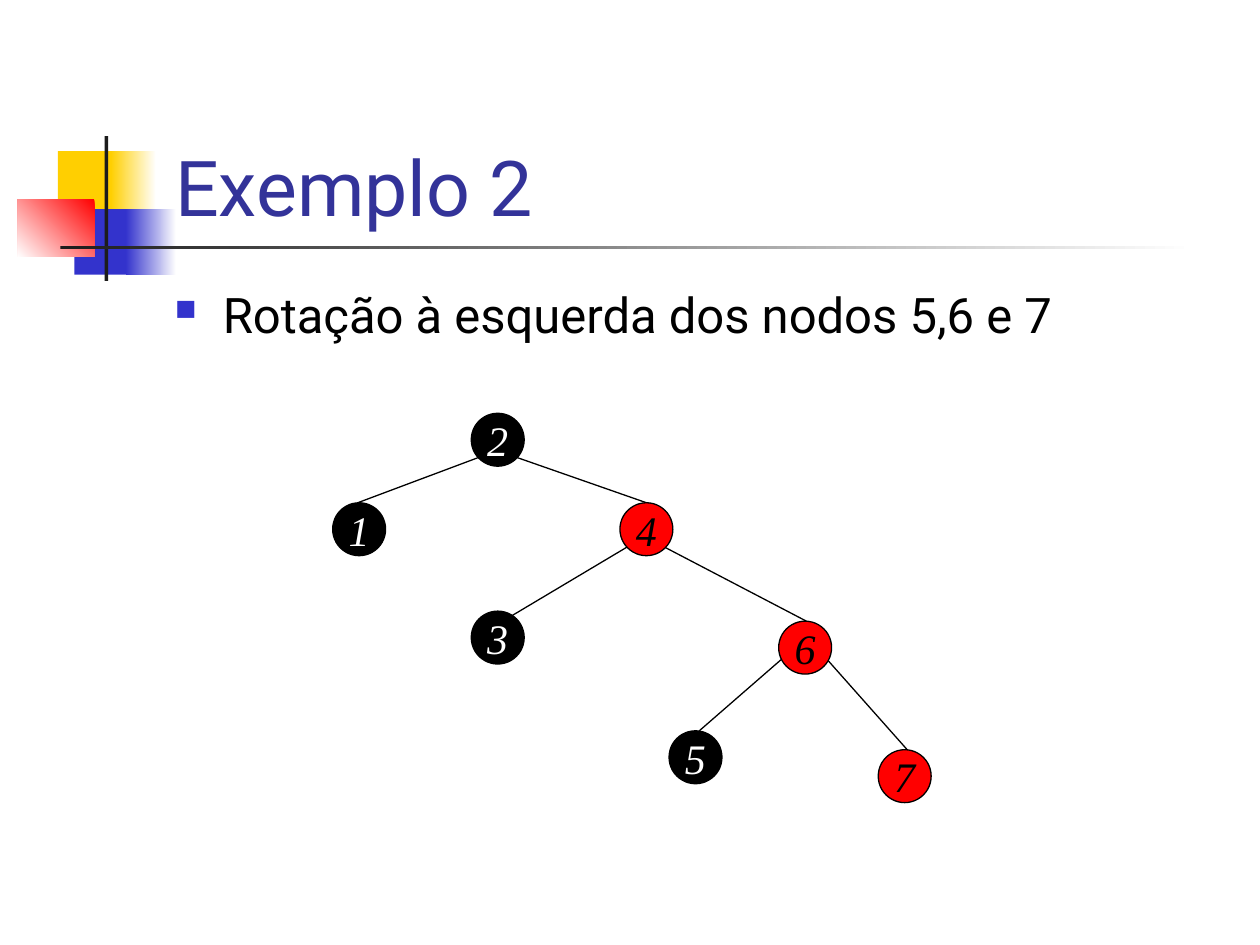
from lxml import etree
from pptx import Presentation
from pptx.dml.color import RGBColor
from pptx.enum.shapes import MSO_CONNECTOR, MSO_SHAPE
from pptx.enum.text import MSO_ANCHOR, PP_ALIGN
from pptx.oxml.ns import qn
from pptx.util import Pt

PX = 9144  # EMU per px, 100 px to the inch
TITLE_ONLY = 5
RECT, OVAL = MSO_SHAPE.RECTANGLE, MSO_SHAPE.OVAL
STRAIGHT = MSO_CONNECTOR.STRAIGHT
LEFT, CENTER = PP_ALIGN.LEFT, PP_ALIGN.CENTER
MIDDLE, BOTTOM = MSO_ANCHOR.MIDDLE, MSO_ANCHOR.BOTTOM

COLORS = {
    "white": "FFFFFF", "black": "000000", "red": "FF0000",
    "yellow": "FFCF01", "blue": "3333CC", "ink": "1C1C1C", "title": "333399",
}
NODE_SIZE = 42

# Motif: left, top, width, height, colour, fade angle (None is solid)
MOTIF = [
    (46, 120, 48, 52, "yellow", None),
    (88, 120, 36, 52, "yellow", 0),
    (59, 166, 46, 52, "blue", None),
    (100, 166, 40, 52, "blue", 0),
    (14, 158, 61, 46, "red", 225),
    (83, 108, 3, 115, "ink", None),
    (48, 195, 900, 3, "ink", 0),
]
# Tree nodes: key, left, top, colour
NODES = [
    ("2", 374, 328, "black"), ("1", 264, 399, "black"),
    ("4", 492, 399, "red"), ("3", 374, 485, "black"),
    ("6", 618, 493, "red"), ("5", 531, 580, "black"),
    ("7", 697, 595, "red"),
]
# Tree edges: parent end, child end
EDGES = [
    ((380, 363), (284, 399)), ((410, 363), (513, 399)),
    ((498, 434), (399, 493)), ((527, 434), (640, 493)),
    ((624, 520), (555, 580)), ((657, 524), (720, 595)),
]


def px(*lengths):
    return [length * PX for length in lengths]


def rgb(name):
    return RGBColor.from_string(COLORS[name])


def style(paragraph, font_name, size, color, align=LEFT, italic=False):
    paragraph.alignment = align
    font = paragraph.font
    font.name, font.size, font.italic = font_name, Pt(size), italic
    font.color.rgb = rgb(color)


def add_motif_part(slide, left, top, width, height, color, fade):
    part = slide.shapes.add_shape(RECT, *px(left, top, width, height))
    part.shadow.inherit = False
    part.line.fill.background()
    if fade is None:
        part.fill.solid()
        part.fill.fore_color.rgb = rgb(color)
        return
    part.fill.gradient()
    part.fill.gradient_angle = fade
    for stop, stop_color in zip(part.fill.gradient_stops, (color, "white")):
        stop.color.rgb = rgb(stop_color)


def set_title(slide, text):
    title = slide.shapes.title
    title.left, title.top, title.width, title.height = px(139, 28, 839, 156)
    frame = title.text_frame
    frame.margin_left = frame.margin_right = 0
    frame.margin_top = frame.margin_bottom = 0
    frame.vertical_anchor = BOTTOM
    frame.text = text
    style(frame.paragraphs[0], "Roboto", 44, "title")


def add_bullet_text(slide, text):
    frame = slide.shapes.add_textbox(*px(129, 221, 850, 66)).text_frame
    frame.word_wrap = True
    frame.text = text
    paragraph = frame.paragraphs[0]
    style(paragraph, "Roboto", 28, "black")
    paragraph.space_before = Pt(7)
    # Hanging indent and square bullet
    properties = paragraph._p.get_or_add_pPr()
    indent = 38 * PX
    properties.set("marL", str(indent))
    properties.set("indent", str(-indent))
    bullet = [etree.Element(qn(tag)) for tag in ("a:buClr", "a:buSzPct", "a:buChar")]
    etree.SubElement(bullet[0], qn("a:srgbClr"), val=COLORS["blue"])
    bullet[1].set("val", "60000")
    bullet[2].set("char", "■")
    properties.find(qn("a:defRPr")).addprevious(bullet[0])
    bullet[0].addnext(bullet[1])
    bullet[1].addnext(bullet[2])


def add_edge(slide, start, end):
    edge = slide.shapes.add_connector(STRAIGHT, *px(*start, *end))
    edge.line.color.rgb = rgb("black")
    edge.line.width = Pt(0.75)
    etree.SubElement(edge._element.spPr, qn("a:effectLst"))


def add_node(slide, key, left, top, color):
    node = slide.shapes.add_shape(OVAL, *px(left, top, NODE_SIZE, NODE_SIZE))
    node.shadow.inherit = False
    node.fill.solid()
    node.fill.fore_color.rgb = rgb(color)
    node.line.color.rgb = rgb("black")
    node.line.width = Pt(0.75)
    frame = node.text_frame
    frame.word_wrap = False
    frame.vertical_anchor = MIDDLE
    frame.text = key
    key_color = "white" if color == "black" else "black"
    style(frame.paragraphs[0], "Times New Roman", 24, key_color, CENTER, True)


def main():
    deck = Presentation()
    deck.slide_width, deck.slide_height = px(1000, 750)
    slide = deck.slides.add_slide(deck.slide_layouts[TITLE_ONLY])
    for part in MOTIF:
        add_motif_part(slide, *part)
    set_title(slide, "Exemplo 2")
    add_bullet_text(slide, "Rotação à esquerda dos nodos 5,6 e 7")
    # Edges go first so that nodes cover their ends
    for edge in EDGES:
        add_edge(slide, *edge)
    for node in NODES:
        add_node(slide, *node)
    deck.save("out.pptx")


if __name__ == "__main__":
    main()
